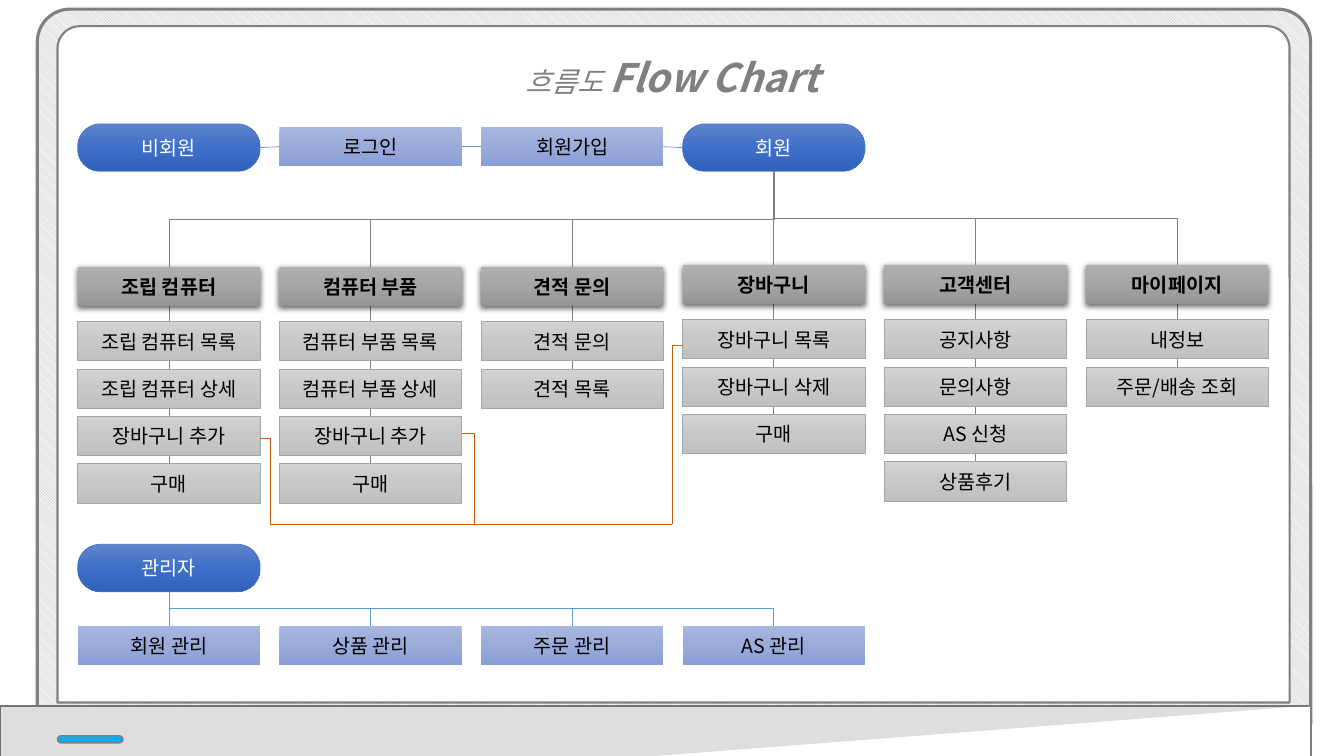
import pptx
import pptx.util
import pptx.dml.color
import pptx.enum.dml
import pptx.enum.shapes
import pptx.enum.text
import pptx.oxml
import pptx.oxml.ns
from pptx.util import Inches

COLORS = {"grey": "808080", "white": "FFFFFF", "black": "000000", "hatch": "BFBFBF",
          "paper": "F2F2F2", "light": "00B0F0", "blue": "5B9BD5", "orange": "C55A11",
          "pill_edge": "4472C4", "item_edge": "A5A5A5"}
FONT = "Noto Sans CJK KR"
NAMESPACE = 'xmlns:a="http://schemas.openxmlformats.org/drawingml/2006/main"'
SHAPES = pptx.enum.shapes.MSO_SHAPE
LINES = pptx.enum.shapes.MSO_CONNECTOR
RGB = pptx.dml.color.RGBColor.from_string
qn = pptx.oxml.ns.qn

KINDS = {
    "pill": {"preset": SHAPES.ROUNDED_RECTANGLE, "height": 0.47, "adjust": [0.483],
             "stops": [(0, "6183CB"), (50, "3E70CA"), (100, "3062BB")],
             "edge": "pill_edge", "text": "white"},
    "task": {"stops": [(0, "A8B7DF"), (50, "9AABD9"), (100, "889ED7")]},
    "header": {"stops": [(0, "AFAFAF"), (50, "A5A5A5"), (100, "939393")], "bold": True},
    "item": {"stops": [(0, "D2D2D2"), (50, "C8C8C8"), (100, "C0C0C0")], "edge": "item_edge"},
}
HINGE_STOPS = [(17, COLORS["grey"]), (59, COLORS["white"])]
COLUMN_LEFTS = [0.77 + 2 * index for index in range(6)]
BOX_WIDTH, BOX_HEIGHT = 1.81, 0.39


def add_part(preset, bounds, fill, edge=None, weight=0.5, adjust=(), angle=90):
    """Fill is a colour name or a list of gradient stops."""
    part = page.shapes.add_shape(preset, *map(Inches, bounds))
    part.shadow.inherit = False
    for index, value in enumerate(adjust):
        part.adjustments[index] = value
    if isinstance(fill, str):
        part.fill.solid()
        part.fill.fore_color.rgb = RGB(COLORS[fill])
    else:
        part.fill.background()
        stops = "".join(f'<a:gs pos="{place * 1000}"><a:srgbClr val="{color}"/></a:gs>'
                        for place, color in fill)
        gradient = pptx.oxml.parse_xml(
            f'<a:gradFill {NAMESPACE} rotWithShape="1"><a:gsLst>{stops}</a:gsLst>'
            f'<a:lin ang="{angle * 60000}" scaled="0"/></a:gradFill>')
        properties = part.element.spPr
        properties.replace(properties.find(qn("a:noFill")), gradient)
    if edge:
        part.line.color.rgb = RGB(COLORS[edge])
        part.line.width = pptx.util.Pt(weight)
    else:
        part.line.fill.background()
    return part


def add_link(color, points=(0, 0, 0, 0), kind=LINES.STRAIGHT):
    link = page.shapes.add_connector(kind, *map(Inches, points))
    link.line.color.rgb = RGB(COLORS[color])
    link.line.width = pptx.util.Pt(0.5)
    link.element.spPr.append(pptx.oxml.parse_xml(f"<a:effectLst {NAMESPACE}/>"))
    return link


deck = pptx.Presentation()
deck.slide_width, deck.slide_height = Inches(13.33), Inches(7.5)
page = deck.slides.add_slide(deck.slide_layouts[5])

# Laptop lid and screen
lid = add_part(SHAPES.ROUND_2_SAME_RECTANGLE, (0.37, 0.09, 12.63, 7.09),
               "paper", "grey", 2.25, (0.046, 0))
lid.fill.patterned()
lid.fill.pattern = pptx.enum.dml.MSO_PATTERN.LIGHT_DOWNWARD_DIAGONAL
lid.fill.fore_color.rgb = RGB(COLORS["hatch"])
lid.fill.back_color.rgb = RGB(COLORS["paper"])
add_part(SHAPES.ROUND_2_SAME_RECTANGLE, (0.57, 0.26, 12.22, 6.71),
         "white", "grey", 1.5, (0.033, 0))

# Hinge bar: left end, right end, middle
for bounds, rotation, corner, angle in [((1.29, 6.17, 0.12, 1.97), 270, 0.193, 0),
                                        ((11.95, 6.17, 0.12, 1.97), 90, 0.193, 180),
                                        ((6.62, 2.8, 0.12, 8.7), 270, 0, 0)]:
    hinge = add_part(SHAPES.ROUND_2_SAME_RECTANGLE, bounds, HINGE_STOPS, "grey", 1.5,
                     (corner, 0), angle)
    hinge.rotation = rotation

# Laptop base with its shade
for color, corners in [
        ("white", [(0.39, 7.21), (12.97, 7.21), (13.18, 7.5), (0.17, 7.5)]),
        ("black", [(0.39, 7.18), (0.17, 7.5), (13.02, 7.22)])]:
    builder = page.shapes.build_freeform(*corners[0], scale=Inches(1))
    builder.add_line_segments(corners[1:], close=True)
    base = builder.convert_to_shape()
    base.shadow.inherit = False
    base.fill.solid()
    base.fill.fore_color.rgb = RGB(COLORS[color])
    if color == "white":
        base.line.color.rgb = RGB(COLORS["grey"])
        base.line.width = pptx.util.Pt(1.5)
    else:
        base.line.fill.background()
        shade = base.element.spPr.find(qn("a:solidFill"))[0]
        shade.append(pptx.oxml.parse_xml(f'<a:alpha {NAMESPACE} val="13000"/>'))
add_part(SHAPES.ROUNDED_RECTANGLE, (0.57, 7.3, 0.65, 0.07), "light", "grey", 1, (0.5,))

# Boxes to draw: kind, text, column, top
top_row = [("pill", "비회원", 0, 1.23), ("task", "로그인", 1, 1.26),
           ("task", "회원가입", 2, 1.26), ("pill", "회원", 3, 1.23)]
admin_row = [("pill", "관리자", 0, 5.4)] + [
    ("task", text, column, 6.21)
    for column, text in enumerate(["회원 관리", "상품 관리", "주문 관리", "AS 관리"])]
menus = [
    ["조립 컴퓨터", "조립 컴퓨터 목록", "조립 컴퓨터 상세", "장바구니 추가", "구매"],
    ["컴퓨터 부품", "컴퓨터 부품 목록", "컴퓨터 부품 상세", "장바구니 추가", "구매"],
    ["견적 문의", "견적 문의", "견적 목록"],
    ["장바구니", "장바구니 목록", "장바구니 삭제", "구매"],
    ["고객센터", "공지사항", "문의사항", "AS 신청", "상품후기"],
    ["마이페이지", "내정보", "주문/배송 조회"],
]
groups = [top_row, admin_row]
for column, (header, *items) in enumerate(menus):
    top = 2.65 if column < 3 else 2.63
    groups.append([("header", header, column, top)] + [
        ("item", text, column, top + 0.54 + 0.47 * row) for row, text in enumerate(items)])

# Boxes, with a stem behind each menu column
drawn = []
for group in groups:
    stem = add_link("grey") if group[0][0] == "header" else None
    boxes = []
    for kind, text, column, top in group:
        style = KINDS[kind]
        box = add_part(style.get("preset", SHAPES.RECTANGLE),
                       (COLUMN_LEFTS[column], top, BOX_WIDTH, style.get("height", BOX_HEIGHT)),
                       style["stops"], style.get("edge"), adjust=style.get("adjust", ()))
        if kind == "header":
            box.element.spPr.find(qn("a:effectLst")).append(pptx.oxml.parse_xml(
                f'<a:outerShdw {NAMESPACE} blurRad="57150" dist="19050" dir="5400000" '
                'algn="ctr" rotWithShape="0"><a:srgbClr val="000000">'
                '<a:alpha val="63000"/></a:srgbClr></a:outerShdw>'))
        box.text_frame.vertical_anchor = pptx.enum.text.MSO_ANCHOR.MIDDLE
        para = box.text_frame.paragraphs[0]
        para.alignment = pptx.enum.text.PP_ALIGN.CENTER
        span = para.add_run()
        span.text = text
        span.font.color.rgb = RGB(COLORS[style.get("text", "black")])
        for name, value in {"name": FONT, "size": pptx.util.Pt(14),
                            "bold": style.get("bold", False)}.items():
            setattr(span.font, name, value)
        boxes.append(box)
    if stem:
        stem.begin_connect(boxes[0], 2)
        stem.end_connect(boxes[-1], 0)
    drawn.append(boxes)
top_boxes, (admin, *admin_tasks), *menu_boxes = drawn

# Links along the top row
for before, after in zip(top_boxes, top_boxes[1:]):
    link = add_link("blue")
    link.begin_connect(before, 3)
    link.end_connect(after, 1)

# Trees below the member and the administrator
for root, children, color in [(top_boxes[3], [boxes[0] for boxes in menu_boxes], "grey"),
                              (admin, admin_tasks, "blue")]:
    for child in children:
        across = child.left - root.left
        link = add_link(color, kind=LINES.ELBOW if across else LINES.STRAIGHT)
        link.begin_connect(root, 2)
        link.end_connect(child, 0)
        if across:
            # Turn the elbow so that it leaves downwards
            start = root.top + root.height
            drop, reach = child.top - start, abs(across)
            link.left = root.left + (root.width + across - drop) // 2
            link.top = start + (drop - reach) // 2
            link.width, link.height = drop, reach
            frame = link.element.spPr.get_or_add_xfrm()
            frame.rot = 270 if across > 0 else 90
            frame.flipH, frame.flipV = across > 0, False

# Path from both add-to-cart boxes to the cart list
for points in [(2.68, 4.35, 2.68, 5.2), (4.7, 4.3, 4.7, 5.2), (2.68, 5.2, 6.67, 5.2),
               (6.67, 5.2, 6.67, 3.43), (6.67, 3.43, 6.77, 3.43),
               (4.58, 4.3, 4.7, 4.3), (2.58, 4.35, 2.68, 4.35)]:
    add_link("orange", points)

# Title, in front of the screen
title = page.shapes.title
page.shapes.element.append(title.element)
title.left, title.top, title.width, title.height = map(Inches, (3.67, 0.25, 6, 0.81))
for name, value in {"word_wrap": True, "vertical_anchor": pptx.enum.text.MSO_ANCHOR.TOP,
                    "auto_size": pptx.enum.text.MSO_AUTO_SIZE.SHAPE_TO_FIT_TEXT}.items():
    setattr(title.text_frame, name, value)
para = title.text_frame.paragraphs[0]
para.alignment = pptx.enum.text.PP_ALIGN.CENTER
para.line_spacing = 1.5
for text, size, bold in [("흐름도 ", 20, False), ("Flow Chart", 28, True)]:
    span = para.add_run()
    span.text = text
    span.font.color.rgb = RGB(COLORS["grey"])
    for name, value in {"name": FONT, "size": pptx.util.Pt(size),
                        "bold": bold, "italic": True}.items():
        setattr(span.font, name, value)

# East Asian font for all text
for latin in list(page.shapes.element.iter(qn("a:latin"))):
    latin.addnext(pptx.oxml.parse_xml(f'<a:ea {NAMESPACE} typeface="{FONT}"/>'))

deck.save("out.pptx")
